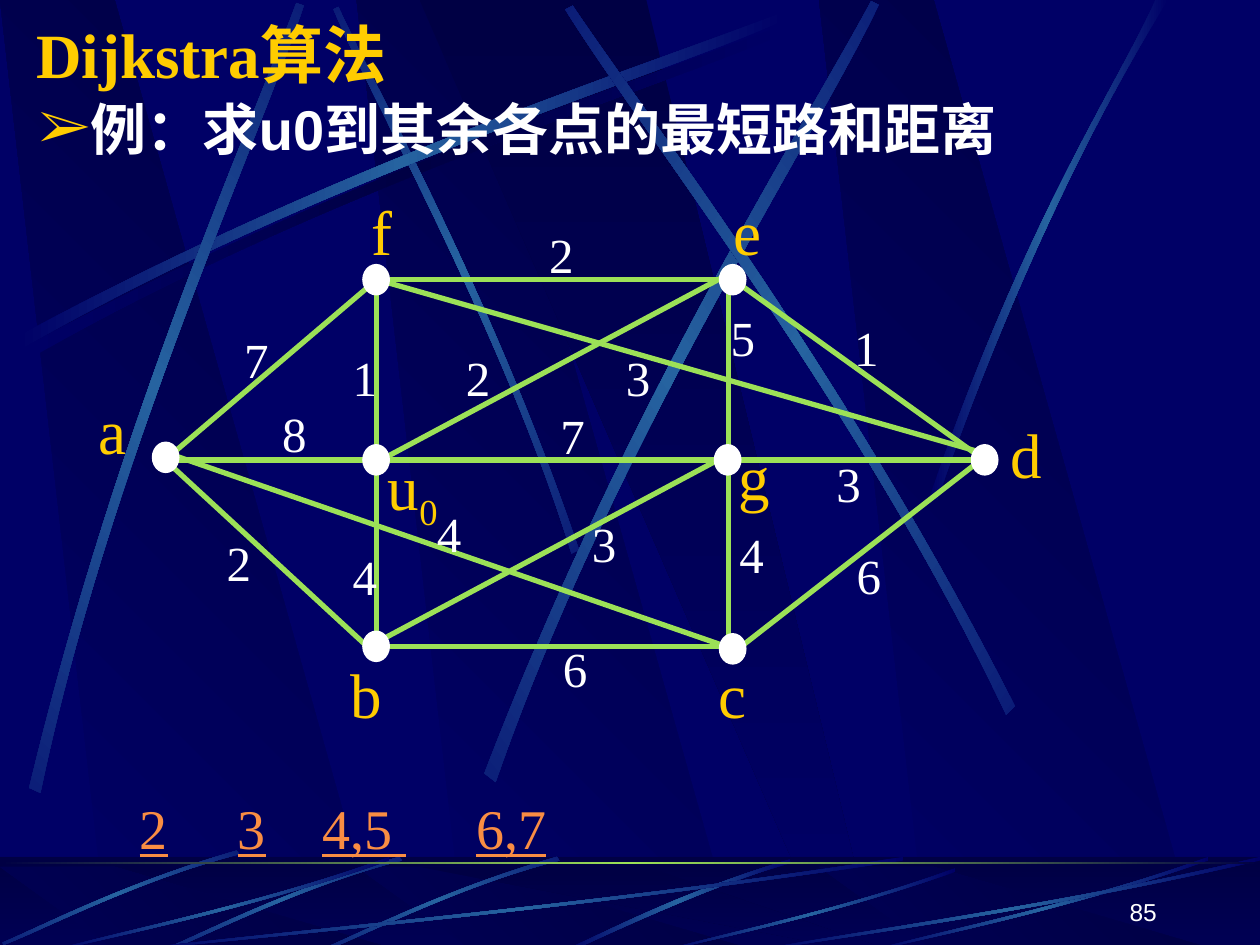
from math import cos, radians, sin

from lxml import etree
from pptx import Presentation
from pptx.dml.color import RGBColor
from pptx.enum.shapes import MSO_CONNECTOR, MSO_SHAPE
from pptx.enum.text import MSO_ANCHOR, PP_ALIGN
from pptx.oxml import parse_xml
from pptx.oxml.ns import nsdecls, qn
from pptx.util import Inches, Pt

NAVY, DARK, STEEL, GREEN = "000066", "000044", "2663A0", "9CE157"
GOLD, WHITE, ORANGE = "FFCC00", "FFFFFF", "F98D43"
SERIF, SANS = "Times New Roman", "Arial"
GLOW = (NAVY, STEEL, NAVY)

# Beams: rotation, box centre, both curved edges as cubic control points, colours
BEAMS = [
    (0, 3.24, 1.52, [(0.2, 2.75), (2.84, 1.34), (5.24, 0.59), (6.26, 0.18)],
     [(6.29, 0.24), (5.28, 0.69), (2.54, 1.51), (0.23, 2.85)], (NAVY, DARK, NAVY)),
    (45, 3.62, 2.23, [(4.6, 4.36), (3.91, 2.34), (3.02, 0.77), (2.69, 0.05)],
     [(2.65, 0.07), (2.95, 0.79), (3.98, 2.58), (4.54, 4.39)], GLOW),
    (0, 3.18, 1.44, [(0.14, 2.67), (2.78, 1.25), (5.18, 0.51), (6.2, 0.1)],
     [(6.23, 0.16), (5.22, 0.61), (2.48, 1.43), (0.17, 2.77)], GLOW),
    (311.7, 1.33, 3.16, [(0.23, 6.25), (0.93, 3.34), (1.97, 1.05), (2.35, 0.02)],
     [(2.41, 0.04), (2.07, 1.09), (0.86, 3.68), (0.32, 6.29)], GLOW),
    (321.6, 5.43, 3.1, [(3.85, 6.14), (4.98, 3.2), (6.38, 1.02), (6.92, 0.01)],
     [(6.98, 0.04), (6.49, 1.08), (4.86, 3.55), (3.94, 6.21)], GLOW),
    (34.7, 6.27, 2.86, [(8.06, 5.6), (6.7, 2.93), (5.16, 0.95), (4.55, 0.04)],
     [(4.49, 0.07), (5.07, 1.01), (6.85, 3.25), (7.99, 5.67)], GLOW),
    (0, 8.32, 1.98, [(7.38, 3.94), (8.14, 1.73), (8.88, 0.66), (9.17, 0)],
     [(9.27, 0), (8.36, 1.45), (7.69, 3.22), (7.44, 3.97)], GLOW),
]
# Floor beams, measured from the top of the floor strip
FLOOR_BEAMS = [
    (0, 5.38, 0.38, [(6.27, 0.02), (5.37, 0.29), (4.77, 0.62), (4.48, 0.74)],
     [(4.53, 0.75), (4.9, 0.58), (5.71, 0.2), (6.28, 0.05)], GLOW),
    *[(315, x + 0.94, 0.38 + y,
       [(x + 1.86, y), (x + 0.99, 0.25 + y), (x + 0.31, 0.6 + y), (x, 0.73 + y)],
       [(x + 0.01, 0.75 + y), (x + 0.32, 0.63 + y), (x + 1.09, 0.23 + y), (x + 1.88, 0.03 + y)],
       GLOW) for x, y in ((2.56, 0), (1.31, 0), (0.02, -0.05))],
    *[(0, x + w / 2, y + h / 2,
       [(x + w, y + 0.03), (x + 0.57 * w, y + 0.57 * h), (x + 0.17 * w, y + 0.85 * h), (x, y + h)],
       [(x, y + 0.99 * h), (x + 0.17 * w, y + 0.81 * h), (x + 0.62 * w, y + 0.5 * h), (x + w, y)],
       GLOW) for x, y, w, h in ((1, 0, 6.17, 0.75), (0.42, 0, 2.67, 0.75), (5.27, 0.09, 2.31, 0.66),
                                (6.92, 0, 2.67, 0.75), (6, 0, 4, 0.75))],
]

# Graph, measured from its box: vertex -> dot x, dot y, label x, label y, label width
VERTICES = {
    "f": (2.38, 0.6, 2.35, -0.02, 0.37), "e": (5.21, 0.6, 5.22, -0.02, 0.42),
    "b": (2.38, 3.51, 2.18, 3.65, 0.45), "c": (5.21, 3.53, 5.1, 3.65, 0.42),
    "a": (0.71, 2.01, 0.18, 1.56, 0.42), "d": (7.21, 2.03, 7.42, 1.75, 0.45),
    "g": (5.17, 2.03, 5.26, 1.92, 0.45), "u0": (2.38, 2.03, 2.48, 2, 0.62),
}
EDGES = [
    (2.43, 3.63, 5.33, 2.08), (2.43, 2.2, 5.33, 0.65), (5.26, 3.63, 0.81, 2.09),
    (7.25, 2.08, 2.53, 0.73), (2.49, 3.63, 2.49, 0.77), (5.28, 3.63, 5.28, 0.77),
    (0.81, 2.15, 2.49, 3.7), (2.49, 3.63, 5.32, 3.63), (5.32, 3.68, 7.31, 2.13),
    (0.81, 2.15, 7.31, 2.15), (0.81, 2.15, 2.49, 0.72), (2.49, 0.72, 5.32, 0.72),
    (5.32, 0.72, 7.31, 2.15),
]
WEIGHTS = [
    ("7", 1.34, 1.07), ("6", 3.87, 3.52), ("2", 1.2, 2.68), ("8", 1.64, 1.65), ("1", 2.2, 1.21),
    ("4", 2.2, 2.79), ("4", 2.87, 2.45), ("3", 4.1, 2.53), ("4", 5.27, 2.61), ("7", 3.85, 1.67),
    ("2", 3.1, 1.21), ("3", 4.37, 1.21), ("5", 5.2, 0.89), ("6", 6.2, 2.78), ("3", 6.04, 2.05),
    ("2", 3.76, 0.23), ("1", 6.18, 0.97),
]


def rgb(color):
    return RGBColor.from_string(color)


def fill_gradient(sp, colors, angle):
    sp.shadow.inherit = False
    sp.line.fill.background()
    sp.fill.background()
    stops = "".join(
        f'<a:gs pos="{100000 * i // (len(colors) - 1)}"><a:srgbClr val="{c}"/></a:gs>'
        for i, c in enumerate(colors))
    no_fill = sp._element.spPr.find(qn("a:noFill"))
    no_fill.getparent().replace(no_fill, parse_xml(
        f'<a:gradFill {nsdecls("a")} rotWithShape="1"><a:gsLst>{stops}</a:gsLst>'
        f'<a:lin ang="{angle * 60000}" scaled="1"/></a:gradFill>'))


def add_polygon(s, points, colors, angle):
    pts = [(Inches(x), Inches(y)) for x, y in points]
    fb = s.shapes.build_freeform(*pts[0])
    fb.add_line_segments(pts[1:], close=True)
    sp = fb.convert_to_shape()
    fill_gradient(sp, colors, angle)
    return sp


def add_bar(s, left, top, width, height):
    return s.shapes.add_shape(MSO_SHAPE.RECTANGLE, Inches(left), Inches(top),
                              Inches(width), Inches(height))


def style_run(r, size, color, font=SERIF, bold=False):
    r.font.size, r.font.name, r.font.bold = Pt(size), font, bold
    r.font.color.rgb = rgb(color)


def add_text(s, box, text, size, color, font=SERIF, bold=False, wrap=True):
    tf = s.shapes.add_textbox(*[Inches(v) for v in box]).text_frame
    tf.word_wrap = wrap
    tf.text = text
    for r in tf.paragraphs[0].runs:
        style_run(r, size, color, font, bold)
    return tf


def add_beam(s, top, rotation, cx, cy, edge, back, colors):
    # Points are turned back so that the shape's own rotation, and its gradient, apply
    co, si = cos(radians(-rotation)), sin(radians(-rotation))
    pts = [(cx + (x - cx) * co - (y - cy) * si, top + cy + (x - cx) * si + (y - cy) * co)
           for x, y in edge + back]
    sp = add_polygon(s, [pts[0], pts[3], pts[4], pts[7]], colors, 0)
    # The two long sides become cubic curves
    sides = sp._element.spPr.findall(".//" + qn("a:lnTo"))
    for side, controls in ((sides[0], pts[1:3]), (sides[2], pts[5:7])):
        side.tag = qn("a:cubicBezTo")
        for i, (x, y) in enumerate(controls):
            pt = etree.Element(qn("a:pt"), x=str(Inches(x) - sp.left), y=str(Inches(y) - sp.top))
            side.insert(i, pt)
    sp.rotation = rotation


def add_panels(s, top, height):
    low = top + height
    for x in (2.83, 0, 6.5):
        add_polygon(s, [(x + 0.86, low), (x + 3.02, low), (x + 0.91, top), (x, top)],
                    (NAVY, DARK), 315)
    add_polygon(s, [(3.33, top), (6.58, low), (6.94, low), (5.13, top)], (DARK, NAVY), 90)


def add_backdrop(s, width, height, floor):
    s.background.fill.solid()
    s.background.fill.fore_color.rgb = rgb(NAVY)
    add_panels(s, 0, height)
    for beam in BEAMS:
        add_beam(s, 0, *beam)
    # Floor strip with a half-transparent veil
    fill_gradient(add_bar(s, 0, floor, width, height - floor), (DARK, NAVY), 90)
    add_panels(s, floor + 0.08, height - floor - 0.08)
    veil = add_bar(s, 0, floor, width, height - floor)
    veil.shadow.inherit = False
    veil.line.fill.background()
    veil.fill.solid()
    veil.fill.fore_color.rgb = rgb(DARK)
    etree.SubElement(veil._element.spPr.find(".//" + qn("a:srgbClr")), qn("a:alpha"), val="50000")
    for beam in FLOOR_BEAMS:
        add_beam(s, floor, *beam)
    fill_gradient(add_bar(s, 0, floor + 0.04, width, 0.02), (DARK, GREEN, DARK), 0)


def add_graph(s, left, top):
    for x1, y1, x2, y2 in EDGES:
        ln = s.shapes.add_connector(MSO_CONNECTOR.STRAIGHT, Inches(left + x1), Inches(top + y1),
                                    Inches(left + x2), Inches(top + y2))
        ln.line.color.rgb, ln.line.width = rgb(GREEN), Pt(3)
        etree.SubElement(ln._element.spPr, qn("a:effectLst"))
    for name, (x, y, tx, ty, width) in VERTICES.items():
        dot = s.shapes.add_shape(MSO_SHAPE.OVAL, Inches(left + x), Inches(top + y),
                                 Inches(0.21), Inches(0.24))
        dot.shadow.inherit = False
        dot.fill.solid()
        dot.fill.fore_color.rgb = dot.line.color.rgb = rgb(WHITE)
        dot.line.width = Pt(0.75)
        tf = add_text(s, (left + tx, top + ty, width, 0.69), name[0], 36, GOLD, wrap=False)
        if name[1:]:
            r = tf.paragraphs[0].add_run()
            r.text = name[1:]
            style_run(r, 36, GOLD)
            r.font._element.set("baseline", "-25000")
    for text, x, y in WEIGHTS:
        add_text(s, (left + x, top + y, 0.4, 0.56), text, 28, WHITE, wrap=False)


def add_heading(s, left, top):
    tf = add_text(s, (left, top, 8.92, 0.71), "Dijkstra算法", 36, GOLD, bold=True)
    tf.vertical_anchor = MSO_ANCHOR.MIDDLE
    tf = add_text(s, (left + 0.02, top + 0.63, 9.58, 0.75), "例：求u0到其余各点的最短路和距离",
                  32, WHITE, SANS, True)
    pPr = tf.paragraphs[0]._p.get_or_add_pPr()
    pPr.set("marL", str(Inches(0.38)))
    pPr.set("indent", str(-Inches(0.38)))
    color = etree.SubElement(pPr, qn("a:buClr"))
    etree.SubElement(color, qn("a:srgbClr"), val=GOLD)
    etree.SubElement(pPr, qn("a:buFont"), typeface=SERIF)
    etree.SubElement(pPr, qn("a:buChar"), char="➢")


def add_page_links(s, left, top):
    p = add_text(s, (left, top, 7.03, 0.64), "", 32, ORANGE).paragraphs[0]
    tabs = etree.SubElement(p._p.get_or_add_pPr(), qn("a:tabLst"))
    for pos in (0.78, 1.45, 2.67):
        etree.SubElement(tabs, qn("a:tab"), pos=str(Inches(pos)), algn="l")
    for text in ("2", "\t", "3", "\t", "4,5 ", "\t", "6,7"):
        r = p.add_run()
        r.text = text
        style_run(r, 32, ORANGE)
        r.font.underline = text != "\t"


def add_page_number(s, left, top):
    tf = add_text(s, (left, top, 2.08, 0.5), "85", 14, WHITE, SANS)
    tf.vertical_anchor = MSO_ANCHOR.BOTTOM
    tf.paragraphs[0].alignment = PP_ALIGN.RIGHT


def main():
    prs = Presentation()
    prs.slide_width, prs.slide_height = Inches(10), Inches(7.5)
    s = prs.slides.add_slide(prs.slide_layouts[6])
    add_backdrop(s, 10, 7.5, 6.8)
    add_heading(s, 0.19, 0.07)
    add_graph(s, 0.5, 1.5)
    add_page_links(s, 1.01, 6.25)
    add_page_number(s, 7.2, 6.9)
    prs.save("out.pptx")


if __name__ == "__main__":
    main()
